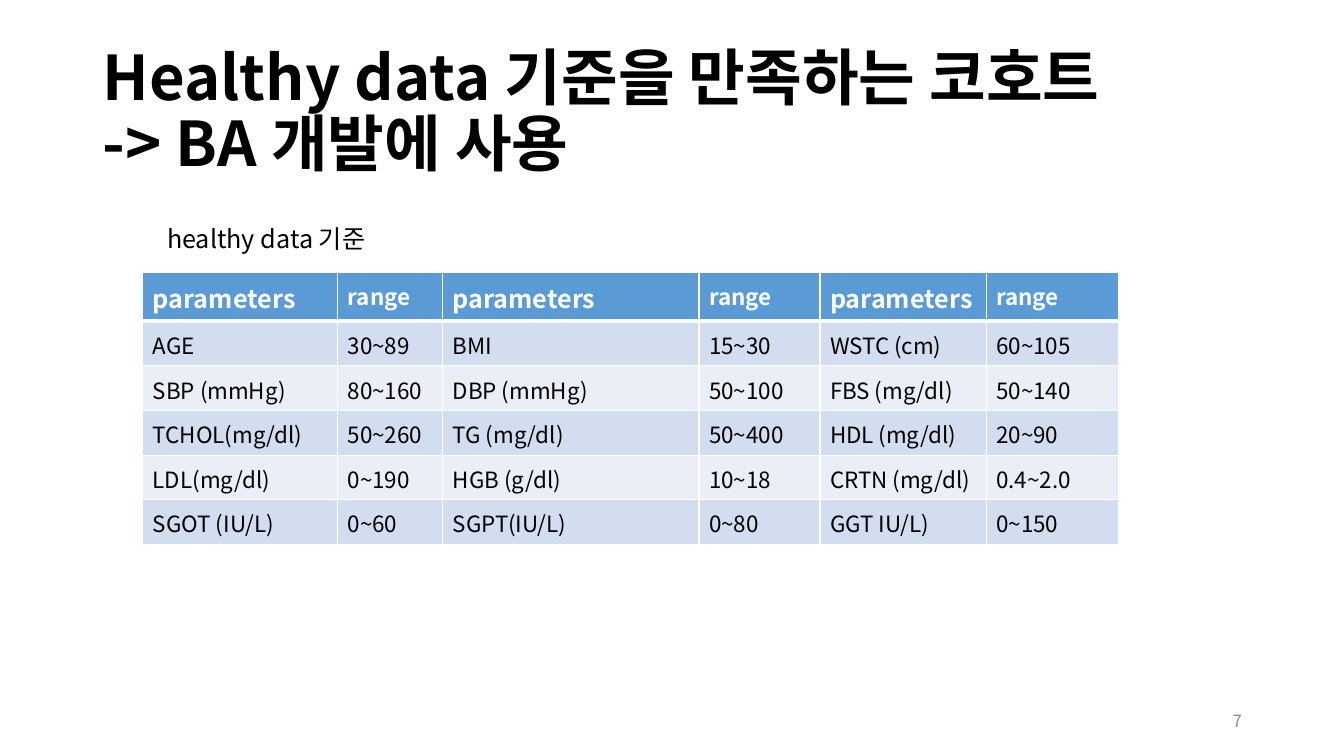
from lxml.etree import SubElement
from pptx import Presentation
from pptx.dml.color import RGBColor
from pptx.enum.text import MSO_ANCHOR as Anchor, MSO_AUTO_SIZE as Fit, PP_ALIGN as Align
from pptx.oxml.ns import qn
from pptx.util import Inches, Pt

FONT = "Noto Sans CJK KR"
BLACK = RGBColor(0x00, 0x00, 0x00)
WHITE = RGBColor(0xFF, 0xFF, 0xFF)
GRAY = RGBColor(0x8C, 0x8C, 0x8C)
BLUE = RGBColor(0x5B, 0x9B, 0xD5)
BANDS = [RGBColor(0xEA, 0xEF, 0xF7), RGBColor(0xD2, 0xDE, 0xEF)]

deck = Presentation()
deck.slide_width, deck.slide_height = Inches(13.33), Inches(7.5)
UNIT = deck.slide_height / 90


def grid(*cells):
    return [round(n * UNIT) for n in cells]


def style(para, size, color, bold=False, align=Align.LEFT):
    para.alignment = align
    font = para.font
    font.size, font.bold, font.name = Pt(size), bold, FONT
    font.color.rgb = color
    SubElement(para._p.pPr.find(qn("a:defRPr")), qn("a:ea"), typeface=FONT)


slide = deck.slides.add_slide(deck.slide_layouts[5])
title = slide.shapes.title
title.left, title.top, title.width, title.height = grid(11, 4.8, 138, 17.4)
frame = title.text_frame
frame.auto_size, frame.vertical_anchor = Fit.NONE, Anchor.MIDDLE
head = frame.paragraphs[0]
head.text = "Healthy data 기준을 만족하는 코호트\v-> BA 개발에 사용"
head.line_spacing = 0.9
style(head, 44, BLACK, True)

ROWS = [
    ["parameters", "range"] * 3,
    ["AGE", "30~89", "BMI", "15~30", "WSTC (cm)", "60~105"],
    ["SBP (mmHg)", "80~160", "DBP (mmHg)", "50~100", "FBS (mg/dl)", "50~140"],
    ["TCHOL(mg/dl)", "50~260", "TG (mg/dl)", "50~400", "HDL (mg/dl)", "20~90"],
    ["LDL(mg/dl)", "0~190", "HGB (g/dl)", "10~18", "CRTN (mg/dl)", "0.4~2.0"],
    ["SGOT (IU/L)", "0~60", "SGPT(IU/L)", "0~80", "GGT IU/L)", "0~150"],
]
COLS = grid(23.2, 12.5, 30.5, 14.4, 19.8, 15.8)
left, top, tall = grid(17, 32.4, 28.7)
table = slide.shapes.add_table(len(ROWS), len(COLS), left, top, sum(COLS), tall).table
for col, width in zip(table.columns, COLS):
    col.width = width
for r, row in enumerate(ROWS):
    table.rows[r].height = Inches(0.39 if r else 0.42)
    for c, text in enumerate(row):
        cell = table.cell(r, c)
        for side in "LRTB":
            thick = 3 if (r, side) in [(0, "B"), (1, "T")] else 1
            edge = SubElement(cell._tc.get_or_add_tcPr(), qn(f"a:ln{side}"), w=str(Pt(thick)))
            fill = SubElement(edge, qn("a:solidFill"))
            SubElement(fill, qn("a:srgbClr"), val=str(WHITE))
        cell.fill.solid()
        cell.fill.fore_color.rgb = BANDS[r % 2] if r else BLUE
        para = cell.text_frame.paragraphs[0]
        para.text = text
        para.line_spacing, para.space_after = 1.07, Pt(8)
        size = 18 if r == 0 and c % 2 == 0 else 16
        style(para, size, BLACK if r else WHITE, r == 0, Align.JUSTIFY)

NOTES = [
    ("7", (113, 83.4, 36, 4.8), 12, GRAY, Align.RIGHT, Anchor.MIDDLE),
    ("healthy data 기준", (18.7, 26, 80, 4.8), 18, BLACK, Align.LEFT, Anchor.TOP),
]
for text, place, size, color, align, anchor in NOTES:
    frame = slide.shapes.add_textbox(*grid(*place)).text_frame
    frame.word_wrap, frame.vertical_anchor = True, anchor
    para = frame.paragraphs[0]
    para.text = text
    style(para, size, color, align=align)

deck.save("out.pptx")
